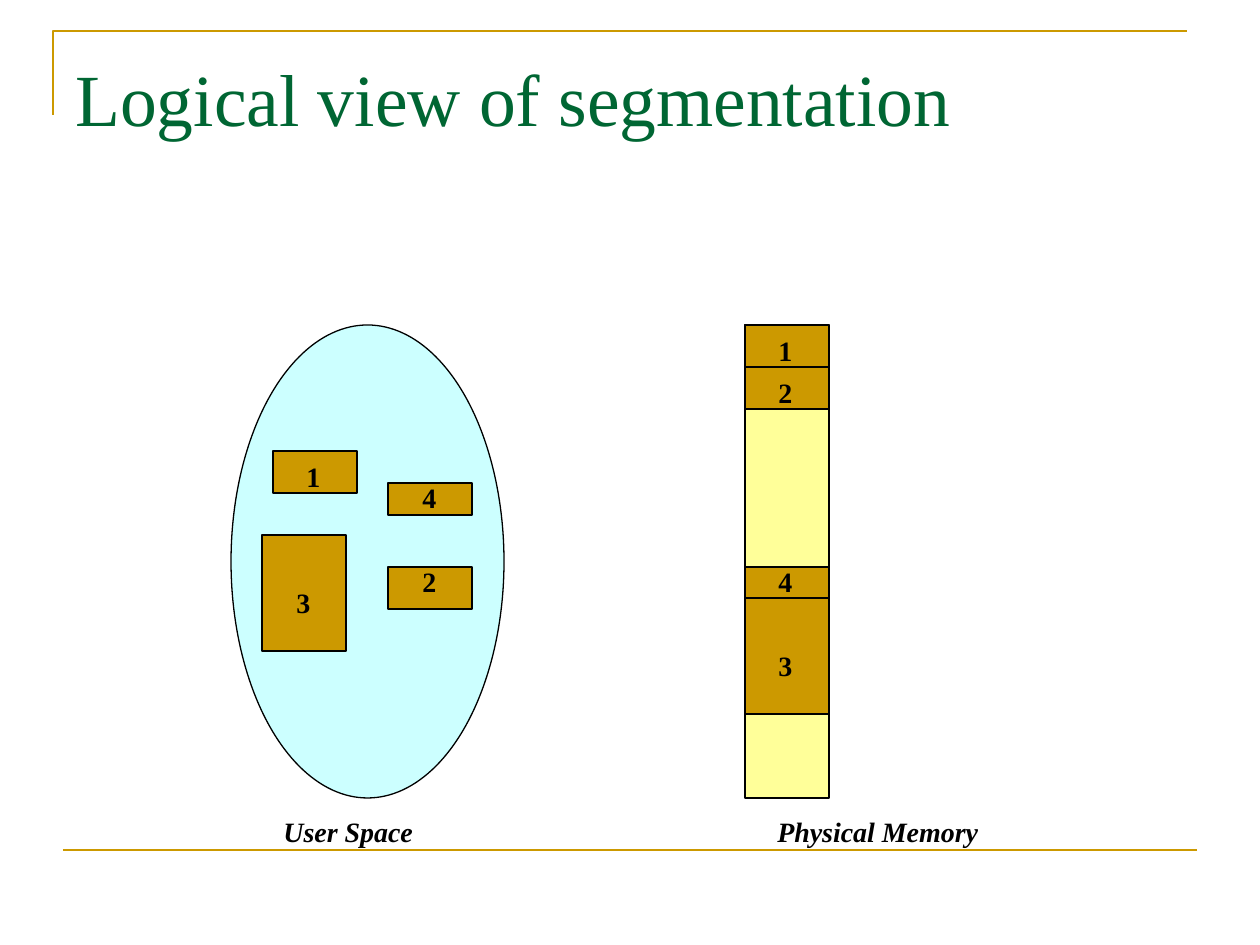
import pptx
import pptx.util
import pptx.dml.color
import pptx.enum.shapes
import pptx.enum.text
import pptx.oxml.ns
import lxml.etree

RGB = pptx.dml.color.RGBColor
GOLD = RGB(0xCC, 0x99, 0x00)
GREEN = RGB(0x00, 0x66, 0x33)
CYAN = RGB(0xCC, 0xFF, 0xFF)
YELLOW = RGB(0xFF, 0xFF, 0x99)
BLACK = RGB(0, 0, 0)
WHITE = RGB(0xFF, 0xFF, 0xFF)

SCALE = 914400 // 126
SHAPES = pptx.enum.shapes.MSO_SHAPE
FONT = {"name": "Times New Roman", "size": pptx.util.Pt(16), "bold": True}
TITLE_FONT = {"name": "Times New Roman", "size": pptx.util.Pt(42)}
SEGMENT_WIDTH = 84


def px(*lengths):
    return [pptx.util.Emu(length * SCALE) for length in lengths]


def style_line(shape, color, width):
    shape.line.color.rgb = color
    shape.line.width = pptx.util.Pt(width)


def add_block(page, kind, box, fill):
    shape = page.shapes.add_shape(kind, *px(*box))
    shape.shadow.inherit = False
    shape.fill.solid()
    shape.fill.fore_color.rgb = fill
    style_line(shape, BLACK, 0.74)


def add_text(page, box, text, font, color=BLACK, wrap=False, top_inset=9):
    frame = page.shapes.add_textbox(*px(*box)).text_frame
    frame.word_wrap = wrap
    frame.vertical_anchor = pptx.enum.text.MSO_ANCHOR.TOP
    frame.margin_top = px(top_inset)[0]
    span = frame.paragraphs[0].add_run()
    span.text = text
    for name, value in font.items():
        setattr(span.font, name, value)
    span.font.color.rgb = color


def add_frame(page, left, top, width, height):
    """Corner bracket above and rule below the content."""
    builder = page.shapes.build_freeform(*px(left, top + 84), scale=1.0)
    builder.add_line_segments([px(left, top), px(left + width, top)], close=False)
    bracket = builder.convert_to_shape()
    bracket.shadow.inherit = False
    bracket.fill.background()
    style_line(bracket, GOLD, 1.5)

    bottom = top + height
    rule = page.shapes.add_connector(
        pptx.enum.shapes.MSO_CONNECTOR.STRAIGHT,
        *px(left + 10, bottom, left + 10 + width, bottom))
    style_line(rule, GOLD, 1.5)
    lxml.etree.SubElement(rule._element.spPr, pptx.oxml.ns.qn("a:effectLst"))


def add_segments(page, left, top, segments):
    """Each segment: number, x, y, height, label x, label y, all from the box."""
    for number, x, y, height, label_x, label_y in segments:
        add_block(page, SHAPES.RECTANGLE,
                  (left + x, top + y, SEGMENT_WIDTH, height), GOLD)
    for number, x, y, height, label_x, label_y in segments:
        add_text(page, (left + label_x, top + label_y, 39, 47), str(number), FONT)


def add_user_space(page, left, top, width, height):
    add_block(page, SHAPES.OVAL, (left, top, width, height), CYAN)
    add_segments(page, left, top, [
        (1, 42, 126, 42, 63, 126),
        (4, 157, 158, 32, 179, 147),
        (3, 31, 210, 116, 53, 252),
        (2, 157, 242, 42, 179, 231),
    ])
    add_text(page, (left + 40, top + height + 8, 155, 47), "User Space",
             {**FONT, "italic": True})


def add_physical_memory(page, left, top, width, height):
    add_block(page, SHAPES.RECTANGLE, (left, top, width, height), YELLOW)
    add_segments(page, left, top, [
        (1, 0, 0, 42, 21, 0),
        (2, 0, 42, 42, 21, 42),
        (4, 0, 242, 32, 21, 231),
        (3, 0, 273, 116, 21, 315),
    ])
    add_text(page, (left + 20, top + height + 8, 226, 47), "Physical Memory",
             {**FONT, "italic": True})


deck = pptx.Presentation()
deck.slide_width, deck.slide_height = px(1260, 945)
page = deck.slides.add_slide(deck.slide_layouts[6])
page.background.fill.solid()
page.background.fill.fore_color.rgb = WHITE

# Frame and title
add_frame(page, 53, 31, 1134, 819)
add_text(page, (63, 38, 1134, 157), "Logical view of segmentation",
         TITLE_FONT, GREEN, wrap=True, top_inset=15)

# The two views of memory
add_user_space(page, 231, 325, 273, 473)
add_physical_memory(page, 745, 325, SEGMENT_WIDTH, 473)

deck.save("out.pptx")
